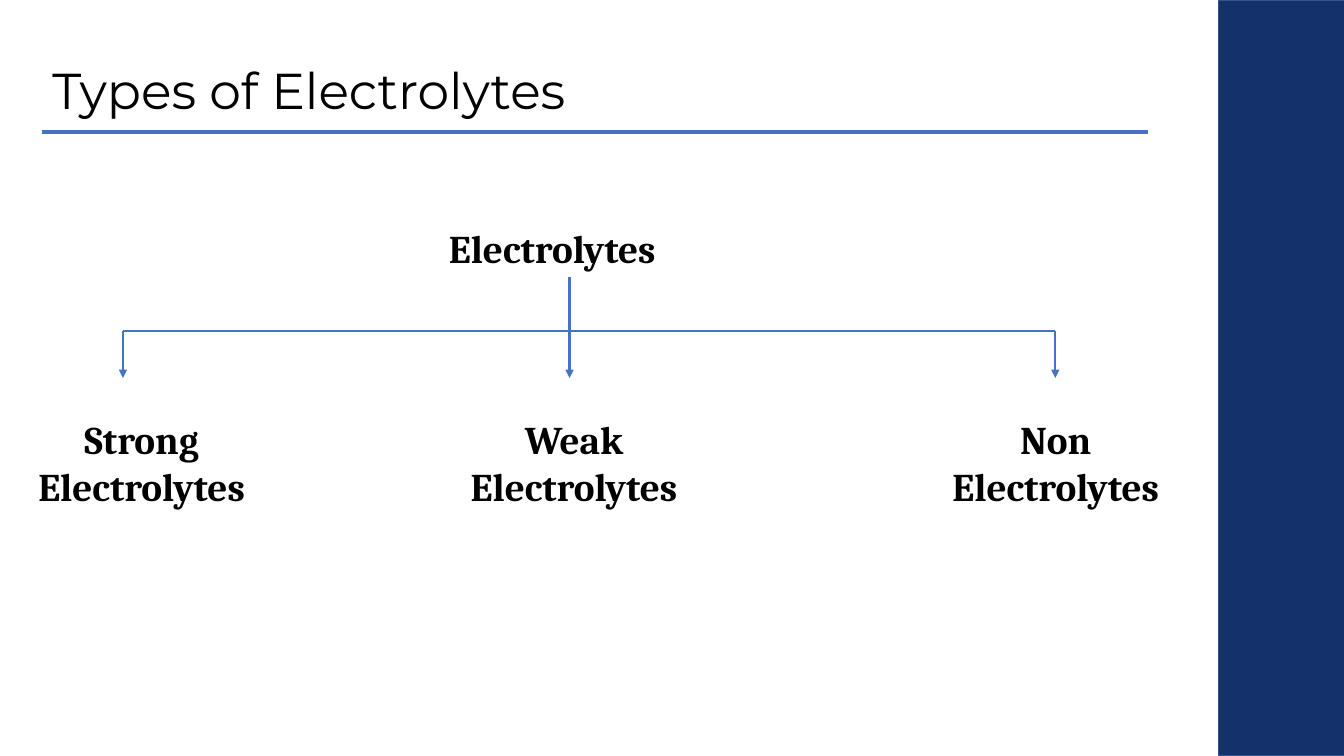
"""Build a slide showing the three types of electrolytes as a tree."""
from dataclasses import dataclass

from lxml.etree import SubElement
from pptx import Presentation
from pptx.dml.color import RGBColor
from pptx.enum.shapes import MSO_CONNECTOR, MSO_SHAPE
from pptx.enum.text import MSO_ANCHOR, MSO_AUTO_SIZE, PP_ALIGN
from pptx.oxml.ns import qn
from pptx.util import Pt


@dataclass(frozen=True)
class Theme:
    panel: RGBColor = RGBColor(0x00, 0x20, 0x60)
    panel_edge: RGBColor = RGBColor(0x32, 0x54, 0x91)
    panel_alpha: int = 92
    line: RGBColor = RGBColor(0x44, 0x72, 0xC4)
    text: RGBColor = RGBColor(0, 0, 0)
    title_font: str = "Montserrat"
    label_font: str = "Cambria"
    title_size: float = 36
    label_size: float = 28
    rule_width: float = 3
    branch_width: float = 1.5


THEME = Theme()
ROOT_X, ROOT_BOTTOM = 406.8, 198
BAR_Y, ARROW_Y = 236.16, 270
LABEL_TOP, LABEL_W, LABEL_H = 293, 179.3, 75
BRANCHES = [
    ("Strong Electrolytes", 87.84, 11.5),
    ("Weak Electrolytes", ROOT_X, 320.4),
    ("Non Electrolytes", 753.84, 664.5),
]


def write_text(sp, text, font, size, bold=False, align=PP_ALIGN.LEFT):
    tf = sp.text_frame
    tf.word_wrap = True
    tf.auto_size = MSO_AUTO_SIZE.NONE
    tf.vertical_anchor = MSO_ANCHOR.TOP
    p = tf.paragraphs[0]
    p.alignment = align
    r = p.add_run()
    r.text = text
    r.font.name = font
    r.font.size = Pt(size)
    r.font.bold = bold
    r.font.color.rgb = THEME.text


def add_title(s, text):
    sp = s.shapes.title
    sp.left, sp.top, sp.width, sp.height = Pt(30.24), Pt(38.9), Pt(743.8), Pt(51)
    write_text(sp, text, THEME.title_font, THEME.title_size)


def add_label(s, text, left, top, width, height, align=PP_ALIGN.CENTER):
    sp = s.shapes.add_textbox(Pt(left), Pt(top), Pt(width), Pt(height))
    write_text(sp, text, THEME.label_font, THEME.label_size, True, align)
    return sp


def add_line(s, x1, y1, x2, y2, width=THEME.branch_width, arrow=False):
    sp = s.shapes.add_connector(
        MSO_CONNECTOR.STRAIGHT, Pt(x1), Pt(y1), Pt(x2), Pt(y2))
    sp.line.color.rgb = THEME.line
    sp.line.width = Pt(width)
    if arrow:
        SubElement(sp.line._get_or_add_ln(), qn("a:tailEnd"), type="triangle")
    SubElement(sp._element.spPr, qn("a:effectLst"))
    return sp


def add_panel(s):
    sp = s.shapes.add_shape(
        MSO_SHAPE.RECTANGLE, Pt(870.5), Pt(0), Pt(92.9), Pt(540))
    sp.shadow.inherit = False
    sp.fill.solid()
    sp.fill.fore_color.rgb = THEME.panel
    color = sp._element.spPr.find(qn("a:solidFill")).find(qn("a:srgbClr"))
    SubElement(color, qn("a:alpha"), val=str(THEME.panel_alpha * 1000))
    sp.line.color.rgb = THEME.panel_edge
    sp.line.width = Pt(1)


def add_tree(s):
    root_w, root_h = 186.5, 41
    root = add_label(s, "Electrolytes", ROOT_X - root_w / 2,
                     ROOT_BOTTOM - root_h, root_w, root_h, PP_ALIGN.LEFT)
    stem = add_line(s, ROOT_X, ROOT_BOTTOM, ROOT_X, BAR_Y)
    stem.begin_connect(root, 2)
    add_line(s, BRANCHES[0][1], BAR_Y, BRANCHES[-1][1], BAR_Y)
    for text, x, left in BRANCHES:
        add_line(s, x, BAR_Y, x, ARROW_Y, arrow=True)
        add_label(s, text, left, LABEL_TOP, LABEL_W, LABEL_H)


def main():
    prs = Presentation()
    prs.slide_width, prs.slide_height = Pt(960), Pt(540)
    s = prs.slides.add_slide(prs.slide_layouts[5])
    add_panel(s)
    add_line(s, 30.24, 94.3, 820, 94.3, THEME.rule_width)
    add_title(s, "Types of Electrolytes")
    add_tree(s)
    prs.save("out.pptx")


if __name__ == "__main__":
    main()
